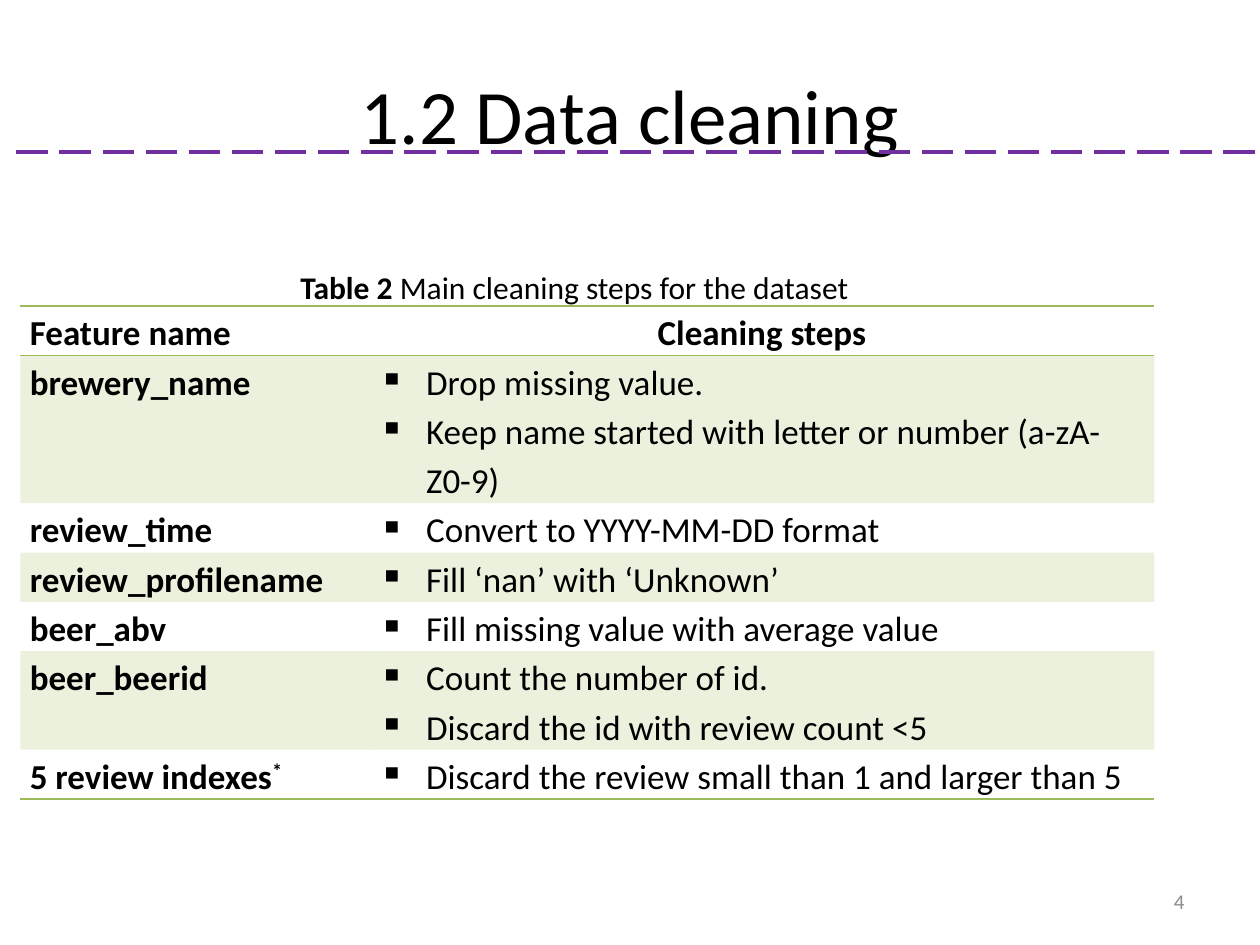
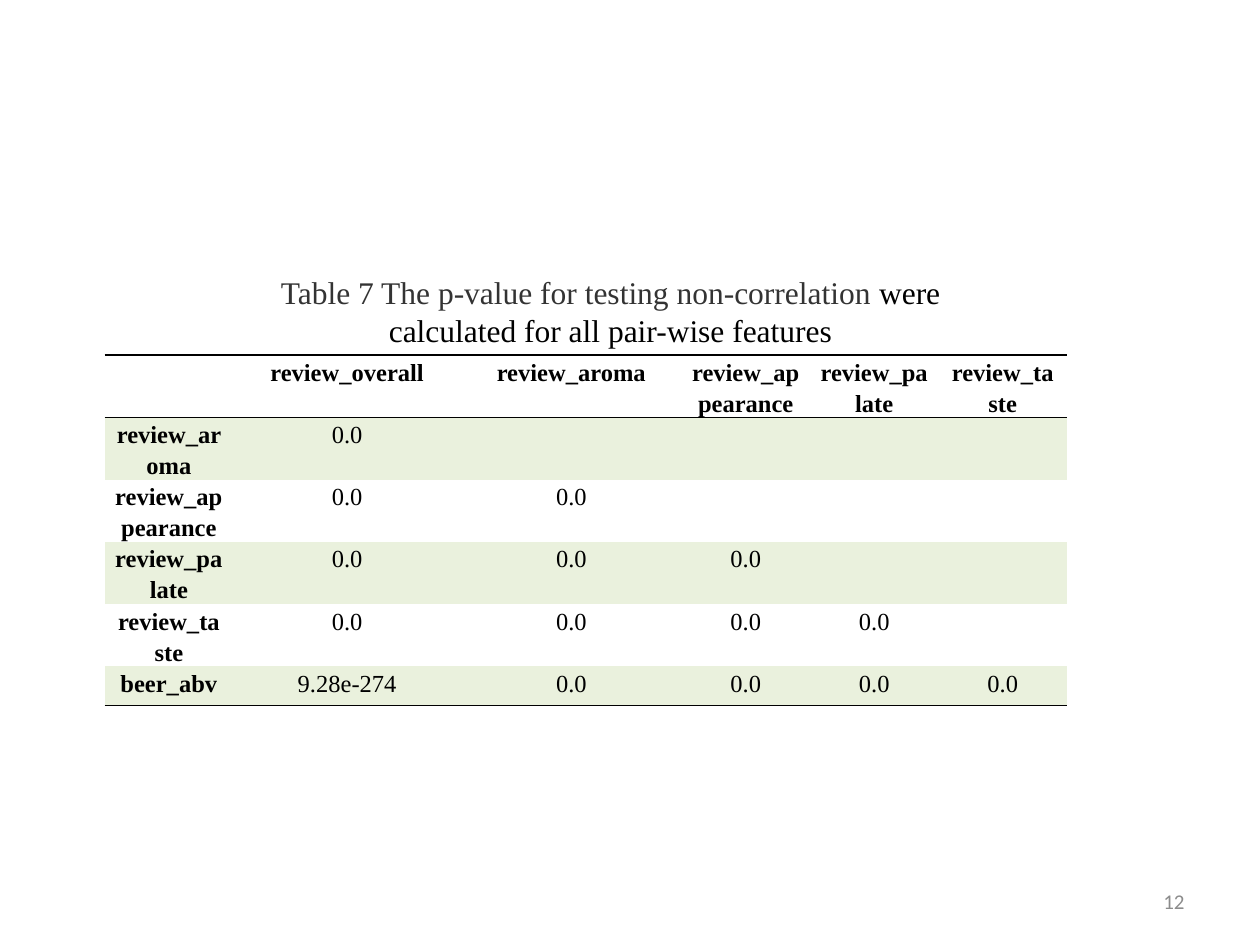
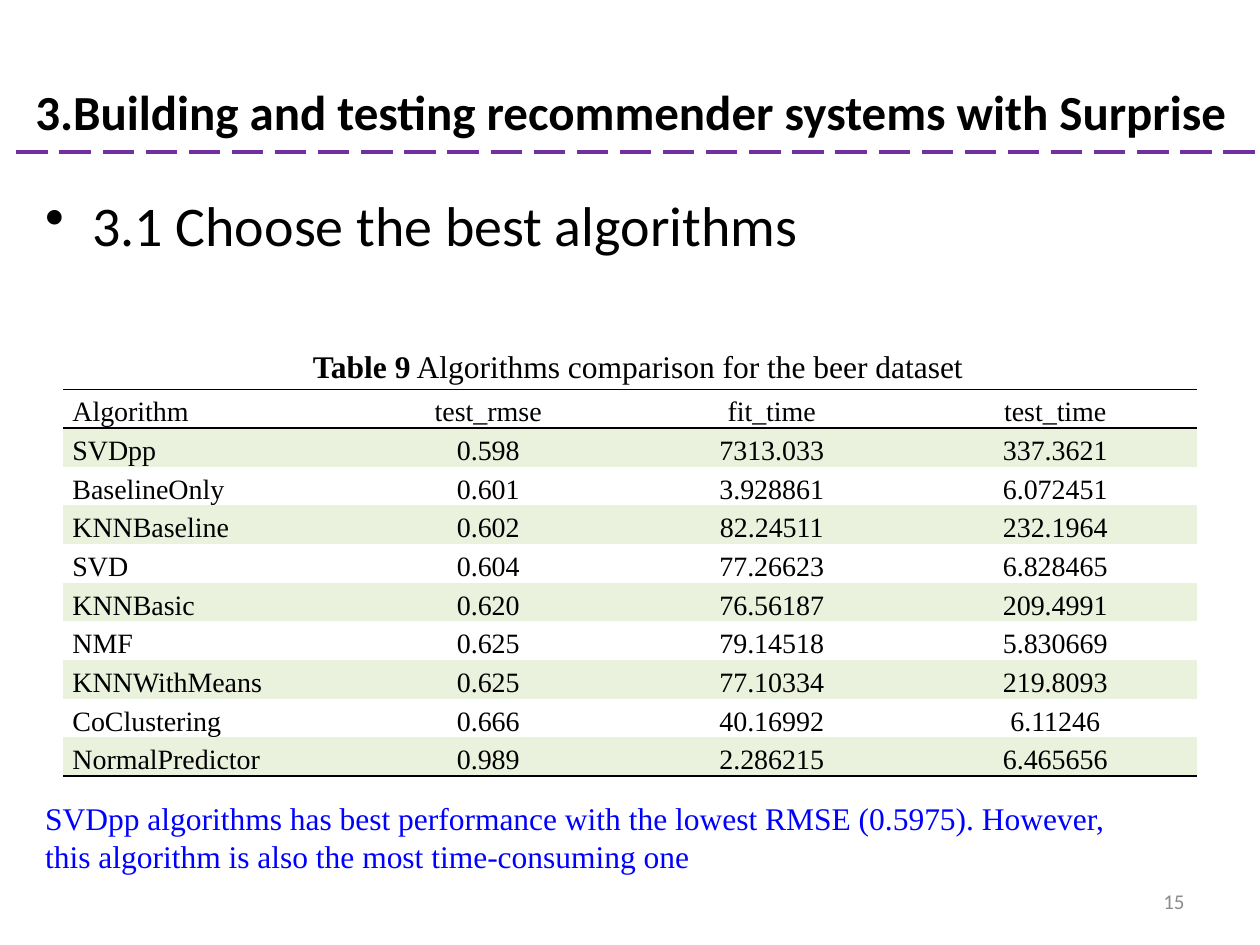
from lxml.etree import SubElement
from pptx import Presentation
from pptx.dml.color import RGBColor
from pptx.enum.dml import MSO_LINE
from pptx.enum.shapes import MSO_CONNECTOR
from pptx.enum.text import MSO_ANCHOR, MSO_AUTO_SIZE, PP_ALIGN
from pptx.oxml.ns import qn
from pptx.util import Cm, Pt

BLACK = RGBColor(0x00, 0x00, 0x00)
CHARCOAL = RGBColor(0x33, 0x33, 0x33)
GREY = RGBColor(0x8C, 0x8C, 0x8C)
PURPLE = RGBColor(0x70, 0x30, 0xA0)
BLUE = RGBColor(0x00, 0x00, 0xFF)
GREEN = RGBColor(0x9B, 0xBB, 0x59)
PALE_GREEN = RGBColor(0xEA, 0xF1, 0xDD)

SANS, SERIF = "Calibri", "Times New Roman"
LEFT, CENTER, RIGHT = PP_ALIGN.LEFT, PP_ALIGN.CENTER, PP_ALIGN.RIGHT
TITLE_ONLY, BLANK = 5, 6
NO_GRID_STYLE = "{2D5ABB26-0587-4C30-8999-92F81FD0307C}"


def write(p, parts, font=SANS, size=18, color=BLACK, bold=False, align=LEFT, spacing=None):
    """Fill a paragraph with a string, or with (text, overrides) pairs."""
    if isinstance(parts, str):
        parts = [(parts, {})]
    p.text = parts[0][0]
    for text, _ in parts[1:]:
        p.add_run().text = text
    for r, (_, own) in zip(p.runs, parts):
        r.font.name = font
        r.font.size = Pt(size)
        r.font.bold = own.get("bold", bold)
        r.font.color.rgb = own.get("color", color)
        if own.get("superscript"):
            r.font._element.set("baseline", "30000")
    p.alignment = align
    if spacing:
        p.line_spacing = spacing


def add_bullet(p, char):
    pPr = p._p.get_or_add_pPr()
    pPr.set("marL", str(Cm(0.95)))
    pPr.set("indent", str(-Cm(0.95)))
    SubElement(pPr, qn("a:buChar")).set("char", char)


def set_borders(cell, color, sides):
    tcPr = cell._tc.get_or_add_tcPr()
    for i, side in enumerate(sides):
        ln = tcPr.makeelement(qn(f"a:ln{side}"), {"w": str(Pt(1))})
        tcPr.insert(i, ln)
        fill = SubElement(ln, qn("a:solidFill"))
        SubElement(fill, qn("a:srgbClr")).set("val", str(color))


def fill_cell(cell, color, alpha=None):
    cell.fill.solid()
    cell.fill.fore_color.rgb = color
    if alpha:
        clr = cell._tc.tcPr.find(f".//{qn('a:srgbClr')}")
        SubElement(clr, qn("a:alpha")).set("val", str(alpha * 1000))


class Deck:
    def __init__(self):
        self.prs = Presentation()
        self.prs.slide_width, self.prs.slide_height = Cm(25.4), Cm(19.05)
        self.s = None

    def slide(self, number, layout=TITLE_ONLY):
        self.s = self.prs.slides.add_slide(self.prs.slide_layouts[layout])
        tf = self.text((18.21, 17.65, 5.92, 1.02), str(number), size=12, color=GREY, align=RIGHT)
        tf.vertical_anchor = MSO_ANCHOR.MIDDLE
        tf.auto_size = MSO_AUTO_SIZE.NONE

    def title(self, box, text, **style):
        """Fill the title and draw the dashed rule below it."""
        sp = self.s.shapes.title
        sp.left, sp.top, sp.width, sp.height = map(Cm, box)
        tf = sp.text_frame
        tf.vertical_anchor = MSO_ANCHOR.MIDDLE
        write(tf.paragraphs[0], text, align=CENTER, **style)
        rule = self.s.shapes.add_connector(
            MSO_CONNECTOR.STRAIGHT, Cm(0.33), Cm(3.07), Cm(25.4), Cm(3.07))
        rule.line.color.rgb = PURPLE
        rule.line.width = Pt(2.25)
        rule.line.dash_style = MSO_LINE.LONG_DASH
        SubElement(rule._element.spPr, qn("a:effectLst"))
        return tf

    def text(self, box, parts, wrap=True, **style):
        tf = self.s.shapes.add_textbox(*map(Cm, box)).text_frame
        tf.word_wrap = wrap
        tf.auto_size = MSO_AUTO_SIZE.SHAPE_TO_FIT_TEXT
        write(tf.paragraphs[0], parts, **style)
        return tf

    def table(self, left, top, widths, heights, rows, aligns, head_aligns=None,
              band=PALE_GREEN, alpha=None, border=BLACK, bold_labels=True,
              anchor=MSO_ANCHOR.TOP, **style):
        """Draw a banded table; a list in a cell becomes bulleted paragraphs."""
        table = self.s.shapes.add_table(
            len(rows), len(widths), Cm(left), Cm(top), Cm(sum(widths)), Cm(sum(heights))).table
        table._tbl.tblPr.find(qn("a:tableStyleId")).text = NO_GRID_STYLE
        for column, width in zip(table.columns, widths):
            column.width = Cm(width)
        for row, height in zip(table.rows, heights):
            row.height = Cm(height)
        for i, row in enumerate(rows):
            row_aligns = head_aligns if i == 0 and head_aligns else aligns
            for j, align in enumerate(row_aligns):
                cell = table.cell(i, j)
                cell.margin_left = cell.margin_right = Cm(0.19)
                cell.margin_top = cell.margin_bottom = 0
                cell.vertical_anchor = anchor
                if i % 2:
                    fill_cell(cell, band, alpha)
                else:
                    cell.fill.background()
                if i == 0:
                    set_borders(cell, border, "TB")
                elif i == len(rows) - 1:
                    set_borders(cell, border, "B")
                content = row[j] if j < len(row) else ""
                bulleted = isinstance(content, list)
                tf = cell.text_frame
                for k, parts in enumerate(content if bulleted else [content]):
                    p = tf.add_paragraph() if k else tf.paragraphs[0]
                    write(p, parts, align=align, spacing=1.15,
                          bold=bold_labels and (i == 0 or j == 0), **style)
                    if bulleted:
                        add_bullet(p, "▪")


def cleaning_slide(deck):
    deck.slide(4)
    rows = [
        ("Feature name", "Cleaning steps"),
        ("brewery_name", ["Drop missing value.",
                          "Keep name started with letter or number (a-zA-Z0-9)"]),
        ("review_time", ["Convert to YYYY-MM-DD format"]),
        ("review_profilename", ["Fill ‘nan’ with ‘Unknown’"]),
        ("beer_abv", ["Fill missing value with average value"]),
        ("beer_beerid", ["Count the number of id.", "Discard the id with review count <5"]),
        ((("5 review indexes", {}), ("*", {"superscript": True})),
         ["Discard the review small than 1 and larger than 5"]),
    ]
    line_counts = [1, 3, 1, 1, 1, 2, 1]
    deck.table(0.41, 6.17, [7.04, 15.82], [0.99 * n for n in line_counts], rows,
               aligns=[LEFT, LEFT], head_aligns=[LEFT, CENTER],
               band=GREEN, alpha=20, border=GREEN, size=20)
    deck.title((1.27, 0.71, 22.86, 3.18), "1.2 Data cleaning", size=44)
    deck.text((5.74, 5.16, 11.68, 1.09),
              [("Table 2 ", {"bold": True}), ("Main cleaning steps for the dataset", {})],
              wrap=False, align=CENTER, spacing=1.15)


def p_value_slide(deck):
    deck.slide(12, BLANK)
    features = ["review_overall", "review_aroma", "review_appearance",
                "review_palate", "review_taste", "beer_abv"]
    rows = [["", *features[:-1]]]
    rows += [[name] + ["0.0"] * n for n, name in enumerate(features) if n]
    rows[-1][1] = "9.28e-274"
    deck.table(2.11, 7.16, [2.59, 4.6, 4.44] + [2.59] * 3, [1.19] * 5 + [0.79], rows,
               aligns=[CENTER] * 6, font=SERIF, size=14)
    deck.text((4.6, 5.38, 15.42, 1.8),
              [("Table 7 The p-value for testing non-correlation", {"color": CHARCOAL}),
               (" were calculated for all pair-wise features", {})],
              font=SERIF, align=CENTER)


def algorithms_slide(deck):
    deck.slide(15)
    tf = deck.title((-0.18, 1.27, 25.78, 3.18),
                    "3.Building and testing recommender systems with Surprise",
                    size=28, bold=True)
    tf.vertical_anchor = MSO_ANCHOR.TOP
    tf.margin_top = Cm(0.38)
    p = deck.text((0.66, 3.71, 22.86, 1.65), "3.1 Choose the best algorithms",
                  size=32).paragraphs[0]
    p.space_before = Pt(6.4)
    add_bullet(p, "•")
    rows = [
        ("Algorithm", "test_rmse", "fit_time", "test_time"),
        ("SVDpp", "0.598", "7313.033", "337.3621"),
        ("BaselineOnly", "0.601", "3.928861", "6.072451"),
        ("KNNBaseline", "0.602", "82.24511", "232.1964"),
        ("SVD", "0.604", "77.26623", "6.828465"),
        ("KNNBasic", "0.620", "76.56187", "209.4991"),
        ("NMF", "0.625", "79.14518", "5.830669"),
        ("KNNWithMeans", "0.625", "77.10334", "219.8093"),
        ("CoClustering", "0.666", "40.16992", "6.11246"),
        ("NormalPredictor", "0.989", "2.286215", "6.465656"),
    ]
    deck.table(1.27, 7.85, [22.86 / 4] * 4, [0.72] * len(rows), rows,
               aligns=[LEFT] + [CENTER] * 3, bold_labels=False,
               anchor=MSO_ANCHOR.BOTTOM, font=SERIF, size=16)
    deck.text((4.85, 6.76, 16.03, 1.09),
              [("Table 9", {"bold": True}), (" Algorithms comparison for the beer dataset", {})],
              font=SERIF, align=CENTER, spacing=1.15)
    deck.text((0.66, 15.98, 22.58, 1.8),
              "SVDpp algorithms has best performance with the lowest RMSE (0.5975). "
              "However, this algorithm is also the most time-consuming one",
              font=SERIF, color=BLUE)


def main():
    deck = Deck()
    cleaning_slide(deck)
    p_value_slide(deck)
    algorithms_slide(deck)
    deck.prs.save("out.pptx")


if __name__ == "__main__":
    main()
